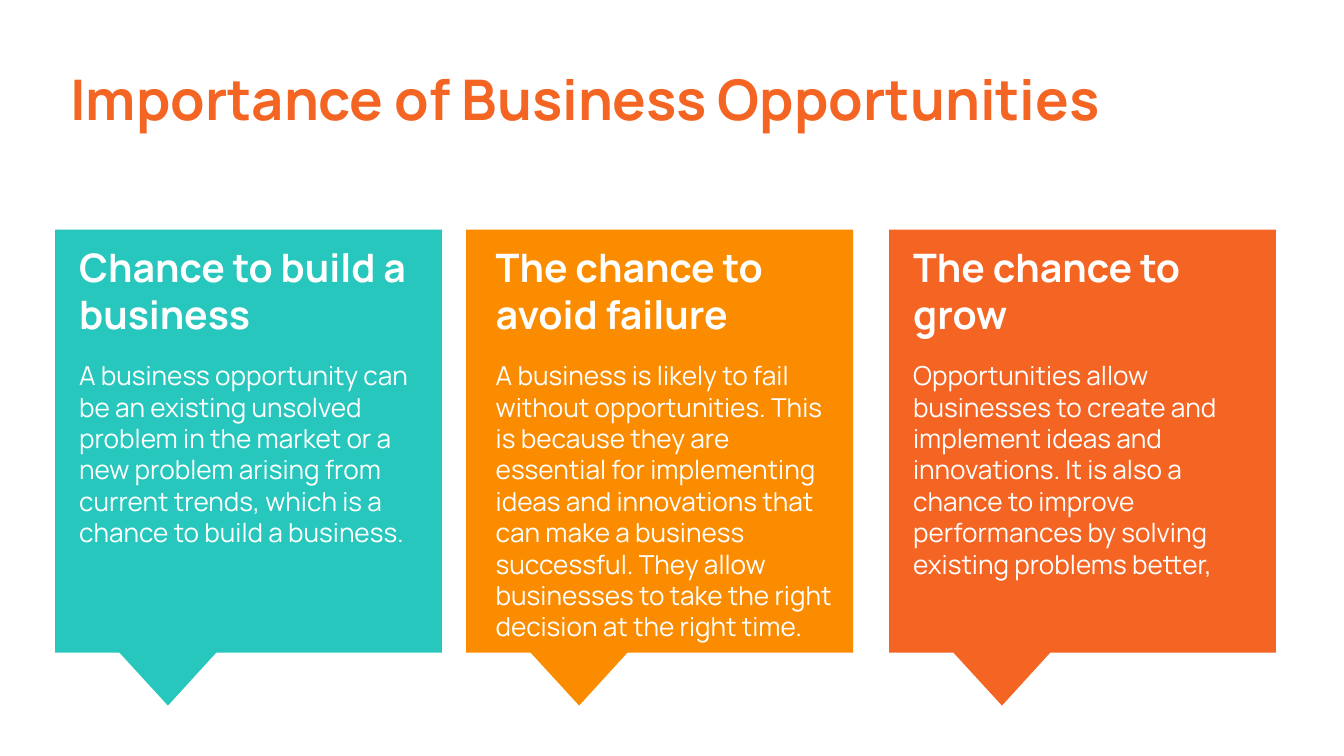
from dataclasses import dataclass

from pptx import Presentation
from pptx.dml.color import RGBColor
from pptx.enum.shapes import MSO_SHAPE
from pptx.enum.text import MSO_ANCHOR
from pptx.util import Pt


@dataclass(frozen=True)
class Theme:
    font: str = "Manrope"
    white: str = "FFFFFF"
    teal: str = "27C7BD"
    amber: str = "FB8C00"
    orange: str = "F46524"
    title: int = 30
    head: int = 21
    body: int = 14


THEME = Theme()
TOP = 123.1
CARDS = [
    (29.5, 35.3, THEME.teal, "Chance to build a business",
     "A business opportunity can be an existing unsolved problem in the "
     "market or a new problem arising from current trends, which is a "
     "chance to build a business."),
    (249.8, 258.5, THEME.amber, "The chance to avoid failure",
     "A business is likely to fail without opportunities. This is because "
     "they are essential for implementing ideas and innovations that can "
     "make a business successful. They allow businesses to take the right "
     "decision at the right time."),
    (476.3, 482.1, THEME.orange, "The chance to grow",
     "Opportunities allow businesses to create and implement ideas and "
     "innovations. It is also a chance to improve performances by solving "
     "existing problems better,"),
]


def add_box(slide, left, top, width, height):
    box = slide.shapes.add_textbox(Pt(left), Pt(top), Pt(width), Pt(height))
    frame = box.text_frame
    frame.word_wrap = True
    frame.vertical_anchor = MSO_ANCHOR.TOP
    frame.margin_left = frame.margin_right = Pt(7.2)
    frame.margin_top = frame.margin_bottom = Pt(7.2)
    return frame


def add_text(para, text, size, color=THEME.white, bold=False, before=0, after=0):
    para.space_before = Pt(before)
    para.space_after = Pt(after)
    run = para.add_run()
    run.text = text
    font = run.font
    font.name = THEME.font
    font.size = Pt(size)
    font.bold = bold
    font.color.rgb = RGBColor.from_string(color)


def add_callout(slide, left, color):
    shape = slide.shapes.add_shape(
        MSO_SHAPE.RECTANGULAR_CALLOUT, Pt(left), Pt(TOP), Pt(207.2), Pt(226.6))
    shape.adjustments[0] = -0.208
    shape.adjustments[1] = 0.625
    shape.shadow.inherit = False
    shape.fill.solid()
    shape.fill.fore_color.rgb = RGBColor.from_string(color)
    shape.line.fill.background()


def add_card(slide, left, inset, color, head, body):
    add_callout(slide, left, color)
    frame = add_box(slide, inset, TOP, 195.1, 210)
    add_text(frame.paragraphs[0], head, THEME.head, bold=True)
    add_text(frame.add_paragraph(), body, THEME.body, before=12, after=12)


def main():
    deck = Presentation()
    deck.slide_width = Pt(720)
    deck.slide_height = Pt(405)
    slide = deck.slides.add_slide(deck.slide_layouts[6])
    for card in CARDS:
        add_card(slide, *card)
    title = add_box(slide, 30.5, 27.5, 647.3, 51)
    add_text(title.paragraphs[0], "Importance of Business Opportunities",
             THEME.title, color=THEME.orange, bold=True, after=16)
    deck.save("out.pptx")


if __name__ == "__main__":
    main()
